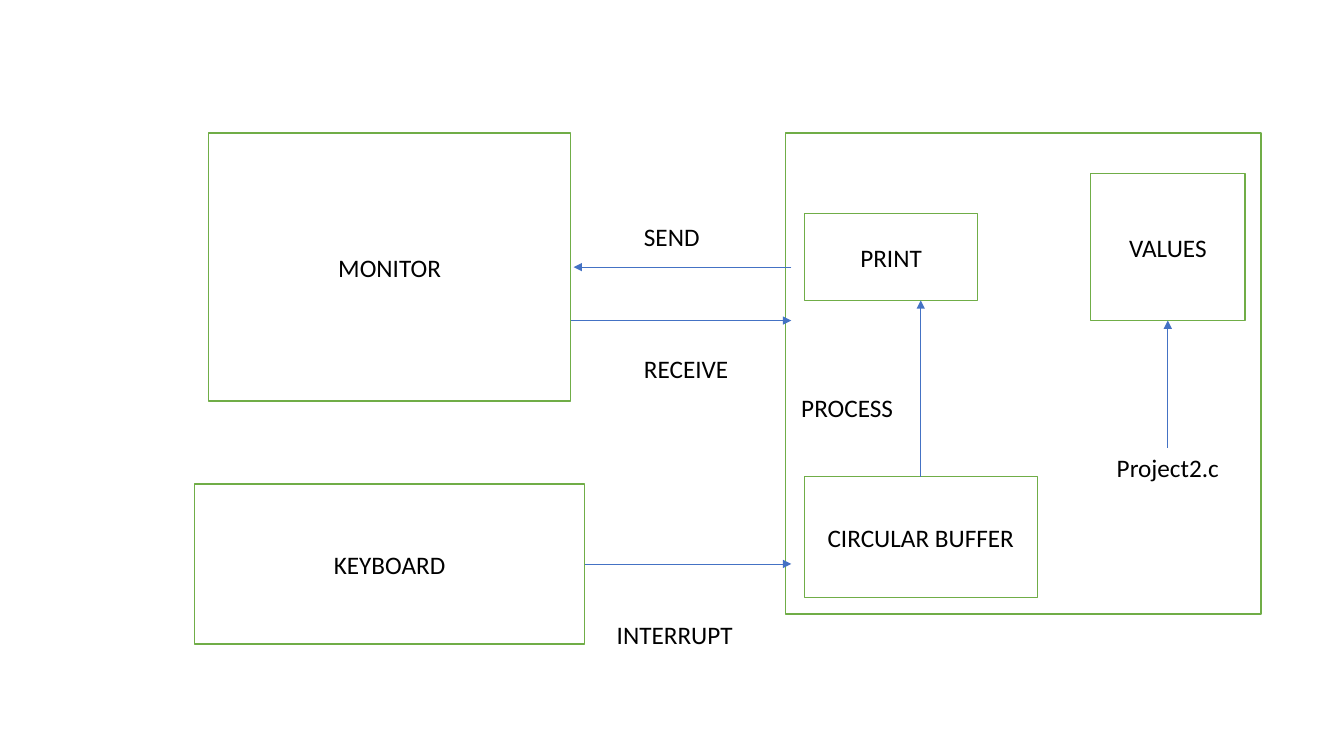
"""Draw the block diagram of a terminal program with its devices and buffer."""
import pptx
import pptx.dml.color
import pptx.enum.shapes
import pptx.enum.text
import pptx.oxml
import pptx.oxml.ns
import pptx.util

COLORS = {"paper": "FFFFFF", "border": "70AD47", "arrow": "4472C4", "ink": "000000"}
COLUMNS, ROWS = 133.33, 75
TOP, LEFT, BOTTOM, RIGHT = range(4)
CENTER = pptx.enum.text.PP_ALIGN.CENTER


class Diagram:
    """Hold the style and the current slide, placing elements on a fine grid."""

    def __init__(self, deck):
        self.column = deck.slide_width / COLUMNS
        self.row = deck.slide_height / ROWS
        self.page = deck.slides.add_slide(deck.slide_layouts[6])

    def place(self, left, top, width, height):
        """Turn grid columns and rows into slide lengths."""
        return (round(left * self.column), round(top * self.row),
                round(width * self.column), round(height * self.row))

    def color(self, name):
        """Look up a colour of the style."""
        return pptx.dml.color.RGBColor.from_string(COLORS[name])

    def add_text(self, shape, text, align):
        """Put one line of text into a shape."""
        para = shape.text_frame.paragraphs[0]
        para.alignment = align
        span = para.add_run()
        span.text = text
        span.font.name = "Calibri"
        span.font.size = pptx.util.Pt(18)
        span.font.color.rgb = self.color("ink")

    def box(self, cells, text=None):
        """Add an outlined rectangle with an optional centred title."""
        shape = self.page.shapes.add_shape(
            pptx.enum.shapes.MSO_SHAPE.RECTANGLE, *self.place(*cells))
        shape.shadow.inherit = False
        shape.fill.solid()
        shape.fill.fore_color.rgb = self.color("paper")
        shape.line.color.rgb = self.color("border")
        shape.line.width = pptx.util.Pt(1)
        if text:
            shape.text_frame.vertical_anchor = pptx.enum.text.MSO_ANCHOR.MIDDLE
            self.add_text(shape, text, CENTER)
        return shape

    def label(self, left, top, width, text, align=None, wrap=True):
        """Add a free line of text."""
        shape = self.page.shapes.add_textbox(*self.place(left, top, width, 4))
        shape.text_frame.word_wrap = wrap
        shape.text_frame.auto_size = pptx.enum.text.MSO_AUTO_SIZE.SHAPE_TO_FIT_TEXT
        self.add_text(shape, text, align)
        return shape

    def arrow(self, start, end, source=None, target=None):
        """Add an arrow, joined to (shape, side) pairs where given."""
        line = self.page.shapes.add_connector(
            pptx.enum.shapes.MSO_CONNECTOR.STRAIGHT, *self.place(*start, *end))
        if source:
            line.begin_connect(*source)
        if target:
            line.end_connect(*target)
        line.line.color.rgb = self.color("arrow")
        line.line.width = pptx.util.Pt(0.5)
        properties = line._element.spPr
        namespace = pptx.oxml.ns.nsdecls("a")
        properties.find(pptx.oxml.ns.qn("a:ln")).append(
            pptx.oxml.parse_xml(f'<a:tailEnd {namespace} type="triangle"/>'))
        properties.append(pptx.oxml.parse_xml(f"<a:effectLst {namespace}/>"))


def main():
    """Build and save the slide."""
    deck = pptx.Presentation()
    deck.slide_width = pptx.util.Inches(13.33)
    deck.slide_height = pptx.util.Inches(7.5)
    diagram = Diagram(deck)

    diagram.box((20.7, 13.2, 35.9, 26.6), "MONITOR")
    keyboard = diagram.box((19.3, 48, 38.7, 15.9), "KEYBOARD")
    diagram.box((77.9, 13.2, 47.2, 47.7))
    values = diagram.box((108.2, 17.2, 15.3, 14.6), "VALUES")
    project = diagram.label(108.2, 44.4, 15.3, "Project2.c", CENTER)
    buffer = diagram.box((79.8, 47.3, 23.1, 12), "CIRCULAR BUFFER")
    diagram.box((79.8, 21.2, 17.2, 8.6), "PRINT")

    diagram.arrow((78.5, 26.5), (56.9, 26.5))
    diagram.arrow((58, 55.95), (78.5, 55.95), source=(keyboard, RIGHT))
    diagram.arrow((56.6, 31.8), (78.5, 31.8))
    diagram.arrow((91.35, 47.3), (91.35, 29.8), source=(buffer, TOP))
    diagram.arrow((115.85, 44.4), (115.85, 31.8), (project, TOP), (values, BOTTOM))

    diagram.label(62.9, 21.5, 7.6, "SEND", wrap=False)
    diagram.label(62.9, 34.6, 11.6, "RECEIVE")
    diagram.label(60.2, 60.9, 14.3, "INTERRUPT")
    diagram.label(78.5, 38.4, 13.4, "PROCESS")
    deck.save("out.pptx")


if __name__ == "__main__":
    main()
